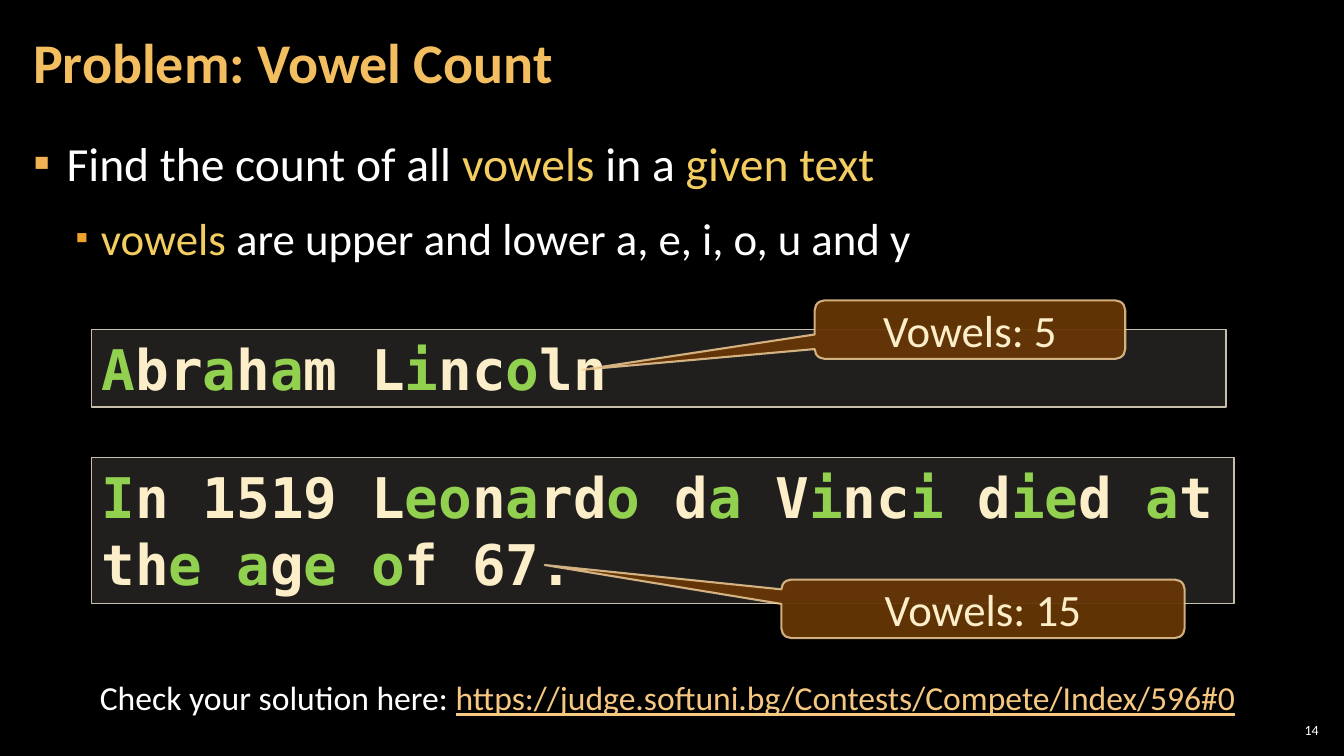
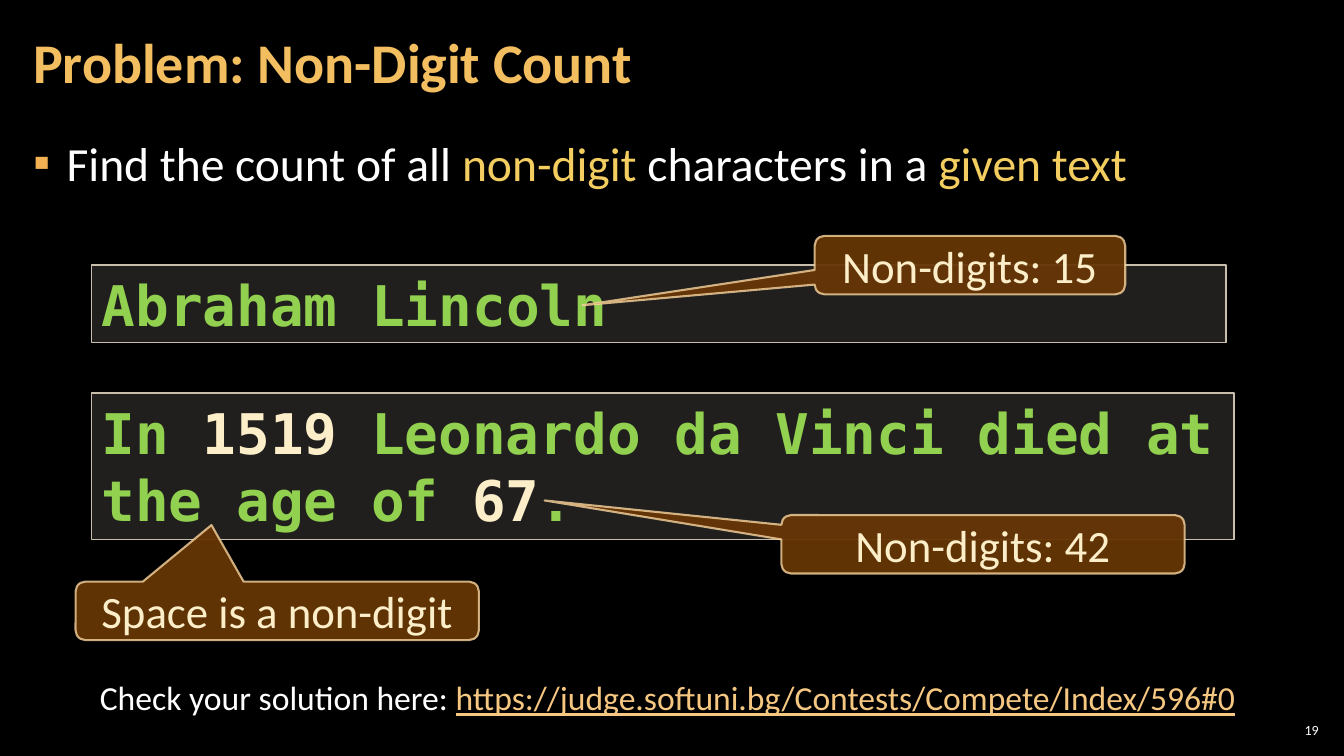
from itertools import groupby

from pptx import Presentation
from pptx.dml.color import RGBColor
from pptx.enum.shapes import MSO_SHAPE
from pptx.enum.text import MSO_ANCHOR, PP_ALIGN
from pptx.oxml.ns import qn
from pptx.util import Inches, Pt
from lxml.etree import SubElement

BODY_FONT, CODE_FONT = "Calibri", "DejaVu Sans Mono"
BLACK, WHITE = "000000", "FFFFFF"
TITLE, ACCENT, LINK = "F3BE60", "F3CD60", "F6C781"
CODE, MATCH = "FBEEC9", "92D050"
CODE_FILL, CODE_LINE = "D9D5C7", "C7BFAC"
CALLOUT_FILL, CALLOUT_LINE = "663606", "F8D49E"

# Per bullet level: text size, left margin, hanging indent, bullet colour, bullet percent
LEVELS = [(34, 0.33, 0.33, "F2B254", 100), (32, 0.67, 0.25, "F0A22E", 80)]

# Code box: text, offset from the first box, width, height
SAMPLES = [
    ("Abraham Lincoln", 0, 11.25, 0.77),
    ("In 1519 Leonardo da Vinci died at the age of 67.", 1.27, 11.33, 1.45),
]
# Callout: left, offset from the first code box, width, pointer position
CALLOUT_SPOTS = [
    (8.08, -0.29, 3.08, (-1.248, 0.687)),
    (7.75, 2.48, 4, (-1.087, -0.75)),
    (0.75, 3.14, 4, (-0.163, -1.468)),
]
CHECK = "Check your solution here: "
CHECK_URL = "https://judge.softuni.bg/Contests/Compete/Index/596#0"


def is_vowel(char):
    return char.lower() in "aeiouy"


def is_non_digit(char):
    return not char.isdigit()


# Text between asterisks in a bullet is accented
SLIDES = [
    dict(number="14", title="Problem: Vowel Count", samples_top=3.27, matches=is_vowel,
         bullets=[(0, "Find the count of all *vowels* in a *given text*"),
                  (1, "*vowels* are upper and lower a, e, i, o, u and y")],
         callouts=["Vowels: 5", "Vowels: 15"]),
    dict(number="19", title="Problem: Non-Digit Count", samples_top=2.63, matches=is_non_digit,
         bullets=[(0, "Find the count of all *non-digit* characters in a *given text*")],
         callouts=["Non-digits: 15", "Non-digits: 42", "Space is a non-digit"]),
]


def rgb(color):
    return RGBColor.from_string(color)


def set_alpha(color_format_fill, percent):
    """Make a solid fill partly transparent."""
    color = color_format_fill._xPr.find(qn("a:solidFill"))[0]
    SubElement(color, qn("a:alpha"), val=str(percent * 1000))


def add_run(p, text, size, color, font=BODY_FONT, bold=False):
    r = p.add_run()
    r.text = text
    r.font.name, r.font.size, r.font.bold = font, Pt(size), bold
    r.font.color.rgb = rgb(color)
    return r


def add_text_box(s, left, top, width, height, margins=(0.1, 0.05), anchor=MSO_ANCHOR.TOP):
    tf = s.shapes.add_textbox(*map(Inches, (left, top, width, height))).text_frame
    tf.word_wrap = True
    tf.vertical_anchor = anchor
    tf.margin_left = tf.margin_right = Inches(margins[0])
    tf.margin_top = tf.margin_bottom = Inches(margins[1])
    return tf


def add_panel(s, kind, box, fill, fill_alpha, line, line_width, anchor, align):
    """Add a translucent outlined shape that holds text."""
    sp = s.shapes.add_shape(kind, *map(Inches, box))
    sp.shadow.inherit = False
    sp.fill.solid()
    sp.fill.fore_color.rgb = rgb(fill)
    set_alpha(sp.fill, fill_alpha)
    sp.line.color.rgb = rgb(line)
    sp.line.width = Pt(line_width)
    sp.text_frame.word_wrap = True
    sp.text_frame.vertical_anchor = anchor
    sp.text_frame.paragraphs[0].alignment = align
    return sp


def add_bullets(s, bullets):
    tf = add_text_box(s, 0.21, 1.26, 12.91, 6.09, (0.12, 0.04))
    for i, (level, text) in enumerate(bullets):
        size, margin, hanging, color, percent = LEVELS[level]
        p = tf.add_paragraph() if i else tf.paragraphs[0]
        p.level = level
        p.line_spacing = 1.05
        p.space_before, p.space_after = Pt(6 if i else 0), Pt(6)
        pPr = p._p.get_or_add_pPr()
        pPr.set("marL", str(Inches(margin)))
        pPr.set("indent", str(-Inches(hanging)))
        SubElement(SubElement(pPr, qn("a:buClr")), qn("a:srgbClr"), val=color)
        SubElement(pPr, qn("a:buSzPct"), val=str(percent * 1000))
        SubElement(pPr, qn("a:buFont"), typeface=BODY_FONT)
        SubElement(pPr, qn("a:buChar"), char="▪")
        for j, part in enumerate(text.split("*")):
            if part:
                add_run(p, part, size, ACCENT if j % 2 else WHITE)


def add_sample(s, text, top, width, height, matches):
    sp = add_panel(s, MSO_SHAPE.RECTANGLE, (0.91, top, width, height),
                   CODE_FILL, 15, CODE_LINE, 1, MSO_ANCHOR.TOP, PP_ALIGN.LEFT)
    for matched, chars in groupby(text, matches):
        add_run(sp.text_frame.paragraphs[0], "".join(chars), 40,
                MATCH if matched else CODE, CODE_FONT, bold=True)


def add_callout(s, text, left, top, width, pointer):
    sp = add_panel(s, MSO_SHAPE.ROUNDED_RECTANGULAR_CALLOUT, (left, top, width, 0.58),
                   CALLOUT_FILL, 95, CALLOUT_LINE, 1.5, MSO_ANCHOR.MIDDLE, PP_ALIGN.CENTER)
    set_alpha(sp.line.fill, 80)
    sp.adjustments[0], sp.adjustments[1] = pointer
    add_run(sp.text_frame.paragraphs[0], text, 32, CODE)


def add_frame(s, title, number):
    """Add what every slide shares: title, check line and slide number."""
    p = add_text_box(s, 0.21, 0.04, 10.47, 1.21, (0.12, 0.04), MSO_ANCHOR.MIDDLE).paragraphs[0]
    p.line_spacing = 0.9
    add_run(p, title, 40, TITLE, bold=True)

    p = add_text_box(s, 0.83, 6.67, 11.58, 0.5).paragraphs[0]
    p.alignment = PP_ALIGN.CENTER
    add_run(p, CHECK, 24, WHITE)
    add_run(p, CHECK_URL, 24, LINK).font.underline = True

    p = add_text_box(s, 12.65, 7.14, 0.47, 0.21, (0.04, 0.04), MSO_ANCHOR.MIDDLE).paragraphs[0]
    p.alignment = PP_ALIGN.RIGHT
    add_run(p, number, 10, WHITE)


def main():
    prs = Presentation()
    prs.slide_width, prs.slide_height = Inches(13.33), Inches(7.5)
    background = prs.slide_master.background.fill
    background.solid()
    background.fore_color.rgb = rgb(BLACK)

    for content in SLIDES:
        s = prs.slides.add_slide(prs.slide_layouts[6])
        add_frame(s, content["title"], content["number"])
        add_bullets(s, content["bullets"])
        first_top = content["samples_top"]
        for text, offset, width, height in SAMPLES:
            add_sample(s, text, first_top + offset, width, height, content["matches"])
        for text, (left, offset, width, pointer) in zip(content["callouts"], CALLOUT_SPOTS):
            add_callout(s, text, left, first_top + offset, width, pointer)

    prs.save("out.pptx")


if __name__ == "__main__":
    main()
